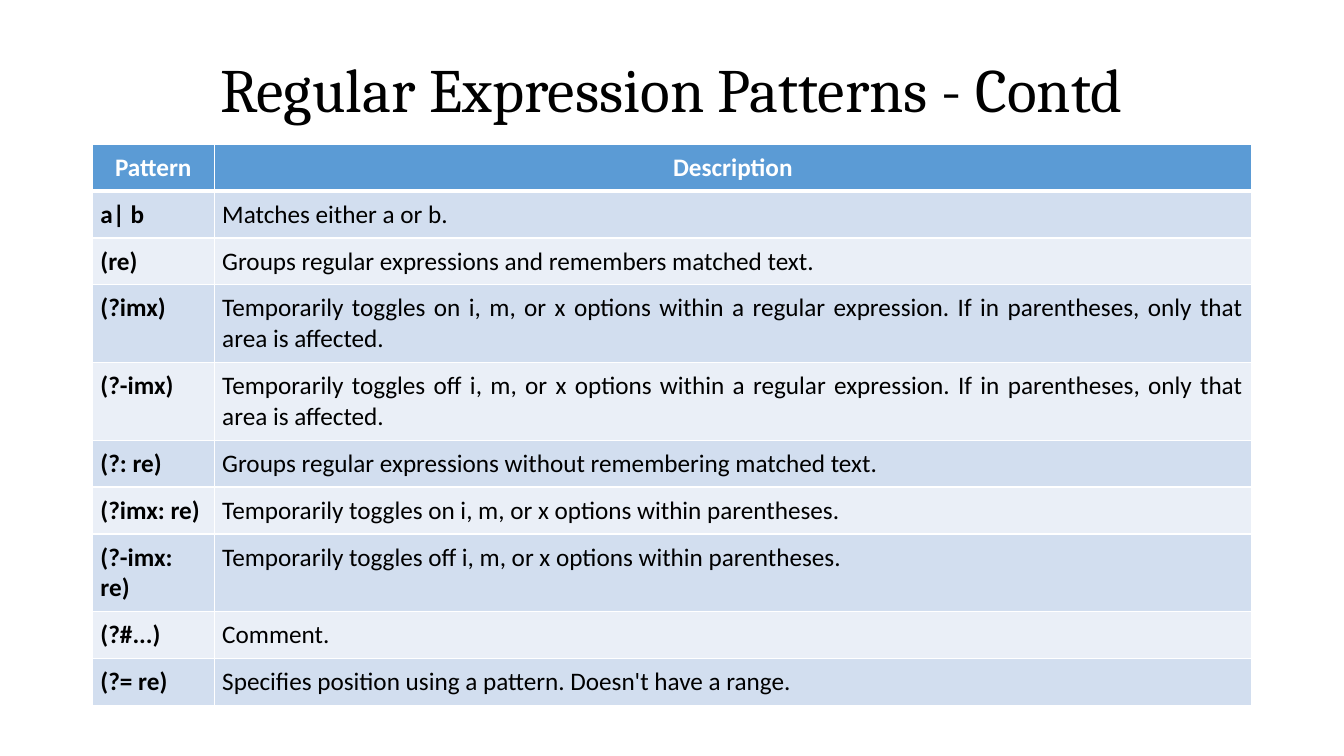
import dataclasses

import lxml.etree
import pptx
import pptx.dml.color
import pptx.enum.text
import pptx.oxml.ns
import pptx.slide
import pptx.table
import pptx.text.text
import pptx.util

SLIDE_WIDTH = pptx.util.Inches(13.333)
SLIDE_HEIGHT = pptx.util.Inches(7.5)
GRID_COLUMNS = 160
GRID_ROWS = 75
COLORS = {
    "background": "FFFFFF",
    "ink": "000000",
    "header_ink": "FFFFFF",
    "header": "5B9BD5",
    "odd": "D2DEEF",
    "even": "EAEFF7",
    "border": "FFFFFF",
}
ALIGN = pptx.enum.text.PP_ALIGN


@dataclasses.dataclass(frozen=True)
class Area:
    column: float
    row: float
    columns: float
    rows: float


@dataclasses.dataclass(frozen=True)
class Entry:
    pattern: str
    description: str


TITLE_AREA = Area(11, 4, 138, 10.3)
TABLE_AREA = Area(11, 14.3, 138, 55.7)
PATTERN_COLUMNS = 14.5
ENTRY_ROWS = 4.1
HEADING = Entry("Pattern", "Description")
ENTRIES = [
    Entry("a| b", "Matches either a or b."),
    Entry("(re)", "Groups regular expressions and remembers matched text."),
    Entry("(?imx)", "Temporarily toggles on i, m, or x options within a regular expression. "
          "If in parentheses, only that area is affected."),
    Entry("(?-imx)", "Temporarily toggles off i, m, or x options within a regular expression. "
          "If in parentheses, only that area is affected."),
    Entry("(?: re)", "Groups regular expressions without remembering matched text."),
    Entry("(?imx: re)", "Temporarily toggles on i, m, or x options within parentheses."),
    Entry("(?-imx: re)", "Temporarily toggles off i, m, or x options within parentheses."),
    Entry("(?#...)", "Comment."),
    Entry("(?= re)", "Specifies position using a pattern. Doesn't have a range."),
]


def across(columns: float) -> int:
    return round(SLIDE_WIDTH * columns / GRID_COLUMNS)


def down(rows: float) -> int:
    return round(SLIDE_HEIGHT * rows / GRID_ROWS)


def box(area: Area) -> tuple[int, int, int, int]:
    return across(area.column), down(area.row), across(area.columns), down(area.rows)


def rgb(color: str) -> pptx.dml.color.RGBColor:
    return pptx.dml.color.RGBColor.from_string(COLORS[color])


def write(frame: pptx.text.text.TextFrame, text: str, *, font: str = "Calibri",
          size: float = 18, color: str = "ink", bold: bool = False,
          align: ALIGN = ALIGN.JUSTIFY, spacing: float = 1.0) -> None:
    paragraph = frame.paragraphs[0]
    paragraph.alignment = align
    paragraph.line_spacing = spacing
    run = paragraph.add_run()
    run.text = text
    run.font.name = font
    run.font.size = pptx.util.Pt(size)
    run.font.bold = bold
    run.font.color.rgb = rgb(color)


def set_borders(cell: pptx.table._Cell, top: float, bottom: float) -> None:
    qn = pptx.oxml.ns.qn
    properties = cell._tc.get_or_add_tcPr()
    for side, points in (("L", 1), ("R", 1), ("T", top), ("B", bottom)):
        border = lxml.etree.SubElement(properties, qn(f"a:ln{side}"), w=str(pptx.util.Pt(points)))
        fill = lxml.etree.SubElement(border, qn("a:solidFill"))
        lxml.etree.SubElement(fill, qn("a:srgbClr"), val=COLORS["border"])


def add_title(slide: pptx.slide.Slide, text: str) -> None:
    title = slide.shapes.title
    title.left, title.top, title.width, title.height = box(TITLE_AREA)
    frame = title.text_frame
    frame.word_wrap = True
    frame.auto_size = pptx.enum.text.MSO_AUTO_SIZE.NONE
    frame.vertical_anchor = pptx.enum.text.MSO_ANCHOR.MIDDLE
    write(frame, text, font="Cambria", size=44, align=ALIGN.CENTER, spacing=0.9)


def fill_row(table: pptx.table.Table, index: int, entry: Entry) -> None:
    heading = index == 0
    band = "header" if heading else "odd" if index % 2 else "even"
    table.rows[index].height = down(ENTRY_ROWS)
    for column, text in enumerate((entry.pattern, entry.description)):
        cell = table.cell(index, column)
        cell.margin_left = cell.margin_right = pptx.util.Inches(0.08)
        cell.margin_top = cell.margin_bottom = pptx.util.Inches(0.08)
        set_borders(cell, top=3 if index == 1 else 1, bottom=3 if heading else 1)
        cell.fill.solid()
        cell.fill.fore_color.rgb = rgb(band)
        write(cell.text_frame, text, bold=heading or column == 0,
              color="header_ink" if heading else "ink",
              align=ALIGN.CENTER if heading else ALIGN.JUSTIFY)


def add_patterns(slide: pptx.slide.Slide) -> None:
    entries = [HEADING, *ENTRIES]
    patterns = slide.shapes.add_table(len(entries), 2, *box(TABLE_AREA))
    table = patterns.table
    table.horz_banding = False
    table.columns[0].width = across(PATTERN_COLUMNS)
    table.columns[1].width = across(TABLE_AREA.columns - PATTERN_COLUMNS)
    for index, entry in enumerate(entries):
        fill_row(table, index, entry)
    patterns.height = down(TABLE_AREA.rows)


def main() -> None:
    presentation = pptx.Presentation()
    presentation.slide_width = SLIDE_WIDTH
    presentation.slide_height = SLIDE_HEIGHT
    slide = presentation.slides.add_slide(presentation.slide_layouts.get_by_name("Title Only"))
    slide.background.fill.solid()
    slide.background.fill.fore_color.rgb = rgb("background")
    add_title(slide, "Regular Expression Patterns - Contd")
    add_patterns(slide)
    presentation.save("out.pptx")


if __name__ == "__main__":
    main()
